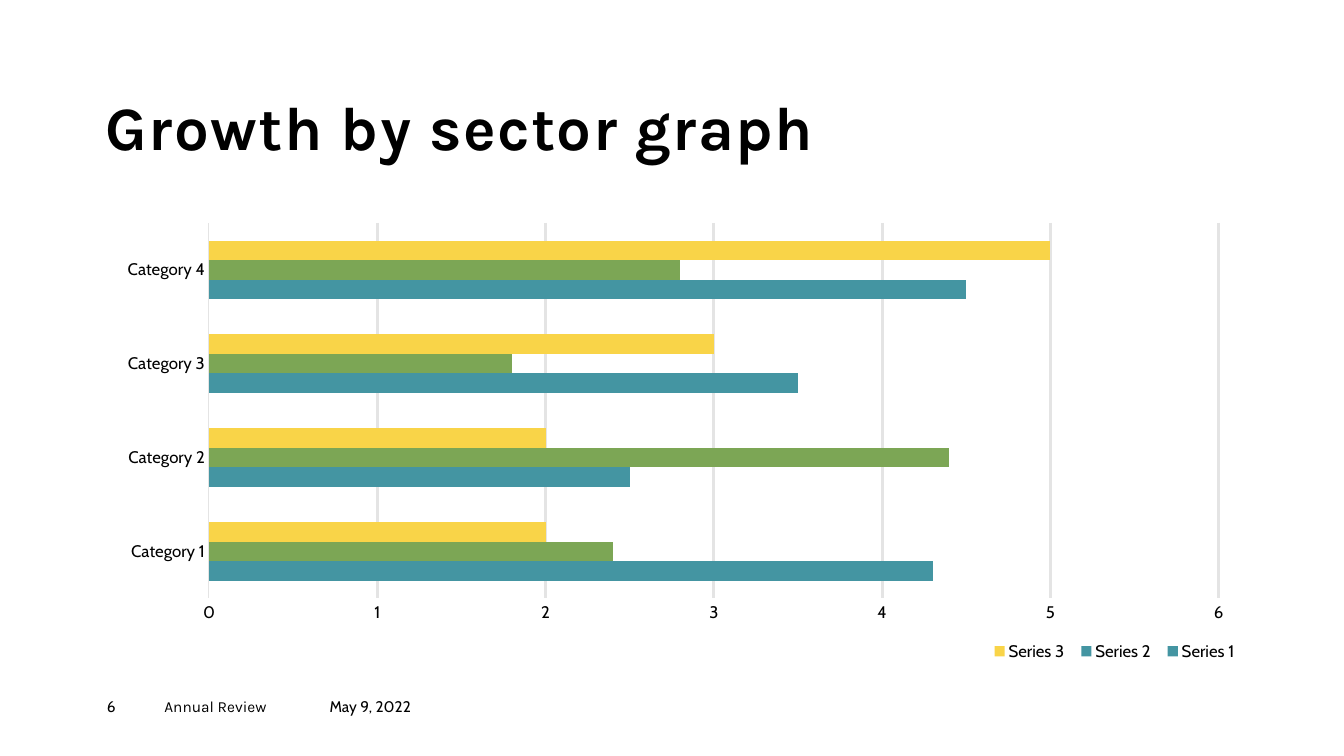
from lxml import etree
from pptx import Presentation
from pptx.chart import data
from pptx.dml.color import RGBColor
from pptx.enum import chart as ch, text
from pptx.oxml import ns
from pptx.util import Pt

COLORS = {"ink": "000000", "grid": "E4E4E4", "axis": "FFFFFF",
          "teal": "4495A2", "green": "7CA655", "yellow": "F9D448"}


def style(font, size, face):
    font.size = Pt(size)
    font.name = face
    font.color.rgb = RGBColor.from_string(COLORS["ink"])


def place(parent, index, target, **box):
    layout = etree.Element(ns.qn("c:layout"))
    manual = etree.SubElement(layout, ns.qn("c:manualLayout"))
    if target:
        etree.SubElement(manual, ns.qn("c:layoutTarget"), val=target)
    for tag in ("xMode", "yMode"):
        etree.SubElement(manual, ns.qn("c:" + tag), val="edge")
    for tag, value in box.items():
        etree.SubElement(manual, ns.qn("c:" + tag), val=str(value))
    for old in parent.findall(ns.qn("c:layout")):
        parent.remove(old)
    parent.insert(index, layout)


prs = Presentation()
prs.slide_width, prs.slide_height = Pt(960), Pt(540)
slide = prs.slides.add_slide(prs.slide_layouts[5])

title = slide.shapes.title
title.left, title.top, title.width, title.height = Pt(75.6), Pt(69), Pt(636.5), Pt(48.3)
heading = title.text_frame
heading.text = "Growth by sector graph"
heading.margin_left = heading.margin_right = heading.margin_top = heading.margin_bottom = 0
heading.vertical_anchor = text.MSO_ANCHOR.BOTTOM
heading.auto_size = text.MSO_AUTO_SIZE.NONE
heading_line = heading.paragraphs[0]
heading_line.alignment = text.PP_ALIGN.LEFT
heading_line.line_spacing = 0.9
style(heading_line.font, 44, "Karla")
heading_line.font.bold = True
heading_line.runs[0].font._element.set("spc", "100")

growth = data.CategoryChartData()
growth.categories = [f"Category {n}" for n in range(1, 5)]
growth.add_series("Series 1", (4.3, 2.5, 3.5, 4.5))
growth.add_series("Series 2", (2.4, 4.4, 1.8, 2.8))
growth.add_series("Series 3", (2, 2, 3, 5))
graph = slide.shapes.add_chart(ch.XL_CHART_TYPE.BAR_CLUSTERED, Pt(74.9), Pt(152.6),
                               Pt(815), Pt(324), growth).chart
graph.has_title = False
style(graph.font, 10, "Cabin")

bars = graph.plots[0]
bars.gap_width = 182
bars.overlap = 0
bars.vary_by_categories = False
for series, color in zip(bars.series, ("teal", "teal", "yellow")):
    series.format.fill.solid()
    series.format.fill.fore_color.rgb = RGBColor.from_string(COLORS[color])
for n in range(4):
    bar = bars.series[1].points[n].format.fill
    bar.solid()
    bar.fore_color.rgb = RGBColor.from_string(COLORS["green"])

categories, values = graph.category_axis, graph.value_axis
for axis in (categories, values):
    axis.major_tick_mark = axis.minor_tick_mark = ch.XL_TICK_MARK.NONE
    style(axis.tick_labels.font, 12, "Cabin")
categories.has_major_gridlines = False
categories.format.line.color.rgb = RGBColor.from_string(COLORS["axis"])
categories.format.line.width = Pt(0.75)
values.minimum_scale, values.maximum_scale, values.major_unit = 0, 6, 1
values.format.line.fill.background()
values.has_major_gridlines = True
grid = values.major_gridlines.format.line
grid.color.rgb = RGBColor.from_string(COLORS["grid"])
grid.width = Pt(2)

graph.has_legend = True
legend = graph.legend
legend.position = ch.XL_LEGEND_POSITION.BOTTOM
legend.include_in_layout = False
style(legend.font, 12, "Cabin")
place(legend._element, 1, None, x=0.77, y=0.93, w=0.23, h=0.07)
place(graph._chartSpace.chart.plotArea, 0, "inner", x=0.0913, y=0.0205, w=0.885, h=0.828)

for left, width, words, face in ((76.3, 41, "6", "Cabin"),
                                 (117.4, 118, "Annual Review", "Karla"),
                                 (235.4, 103.7, "May 9, 2022", "Cabin")):
    footer = slide.shapes.add_textbox(Pt(left), Pt(498.2), Pt(width), Pt(19.4)).text_frame
    footer.word_wrap = True
    footer.margin_left = footer.margin_right = footer.margin_top = footer.margin_bottom = 0
    footer.text = words
    style(footer.paragraphs[0].font, 11, face)

prs.save("out.pptx")
